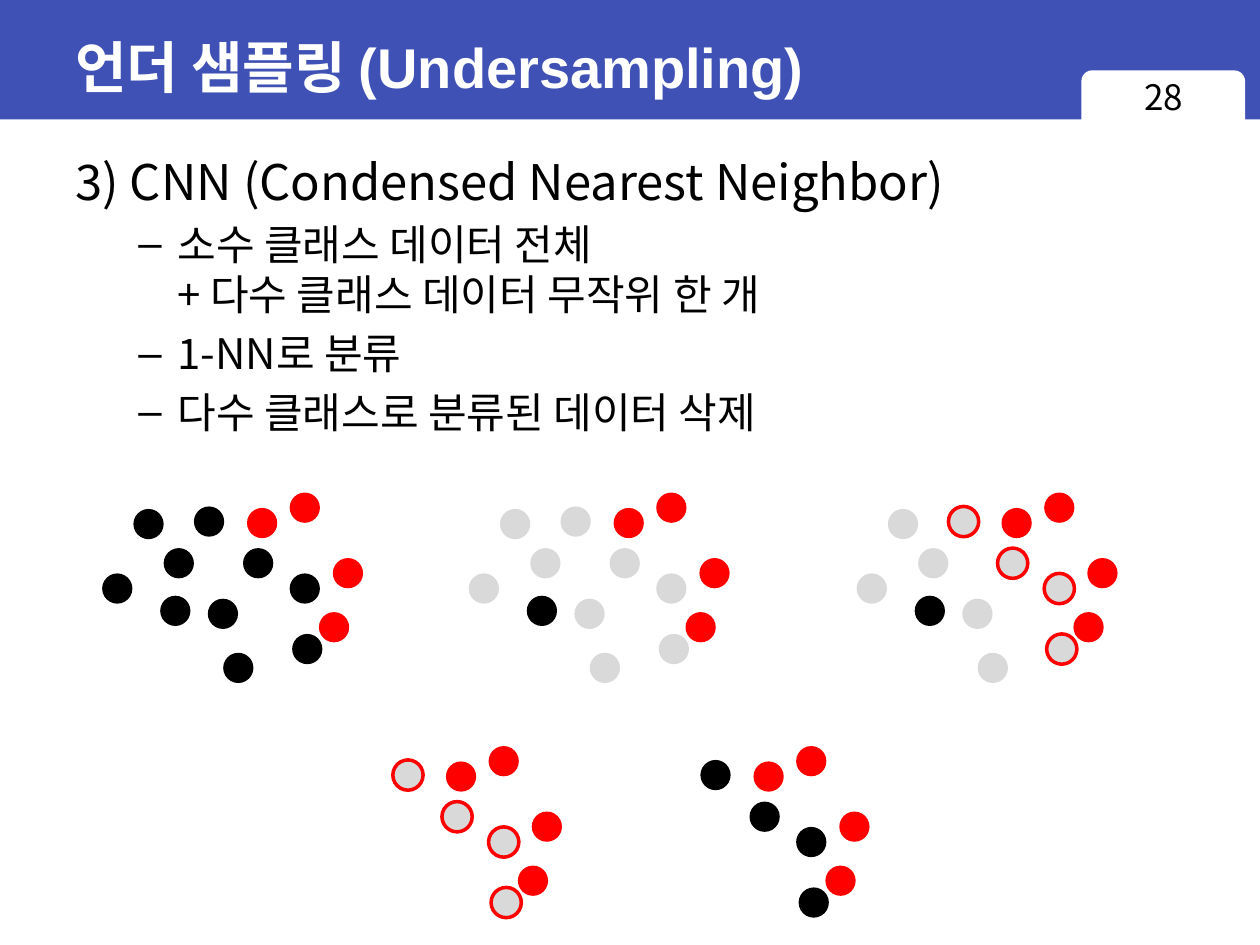
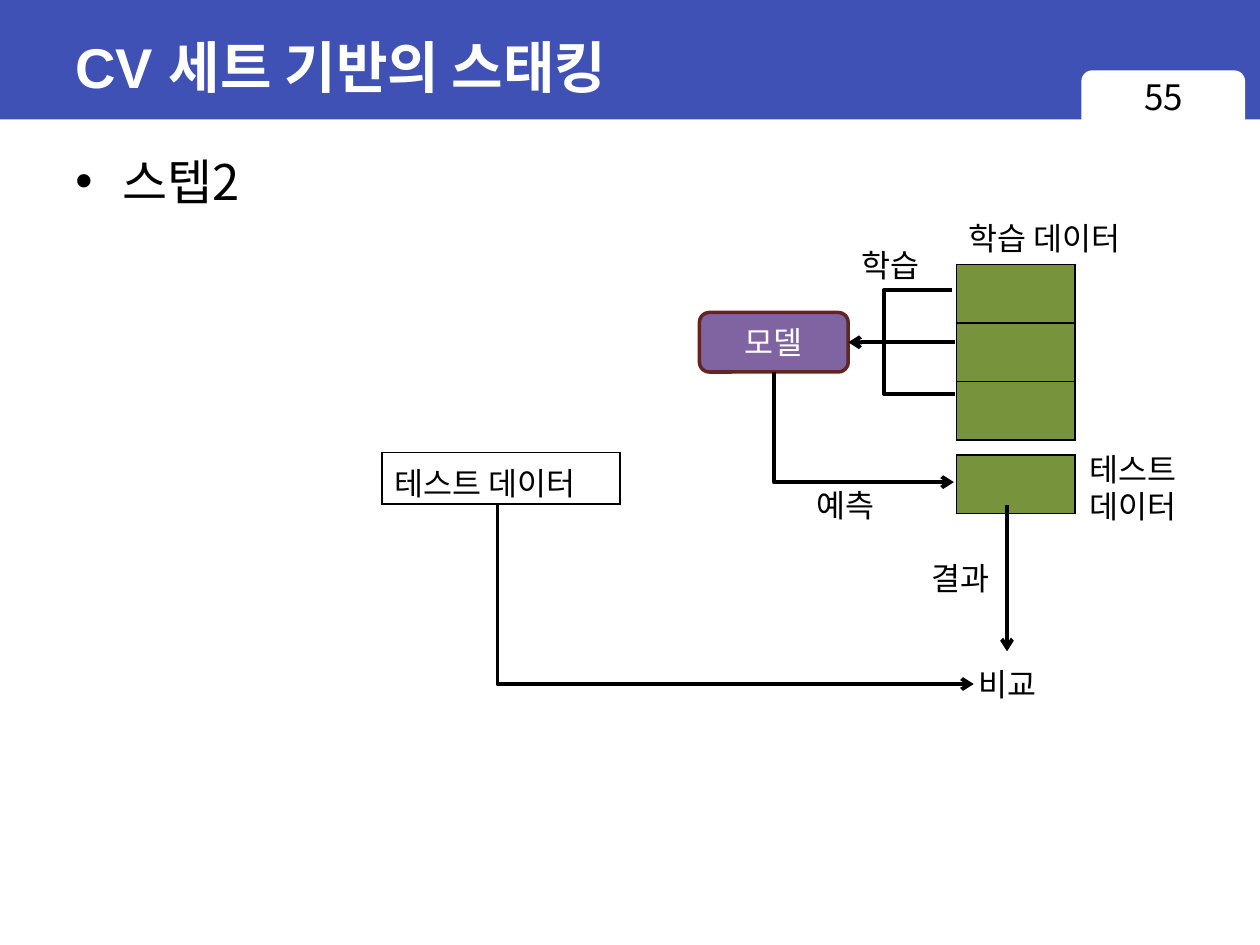
from lxml import etree
from pptx import Presentation
from pptx.dml.color import RGBColor
from pptx.enum import shapes, text
from pptx.oxml import ns
from pptx.util import Cm, Pt

COLORS = {
    "band": "3F51B5", "white": "FFFFFF", "black": "000000", "red": "FF0000",
    "gray": "D9D9D9", "green": "77933C", "purple": "8064A2", "maroon": "632523",
}
RGB = {name: RGBColor.from_string(value) for name, value in COLORS.items()}
BODY_FONT = "Noto Sans CJK KR"
SHAPE = shapes.MSO_SHAPE


def add_run(p, words, size, color="black", font=BODY_FONT, bold=False):
    r = p.add_run()
    r.text = words
    r.font.size, r.font.bold, r.font.name = Pt(size), bold, font
    r.font.color.rgb = RGB[color]
    ea = etree.SubElement(r.font._element, ns.qn("a:ea"))
    ea.set("typeface", BODY_FONT)


def set_line(sp, color, width, arrow=False):
    sp.line.color.rgb = RGB[color]
    sp.line.width = Pt(width)
    if arrow:
        tail = etree.SubElement(sp.line._get_or_add_ln(), ns.qn("a:tailEnd"))
        tail.set("type", "arrow")


prs = Presentation()
prs.slide_width, prs.slide_height = Cm(25.4), Cm(19.05)

# Text of both slides: title, page number, body lines as (level, bullet, lines)
PAGES = [
    ("언더 샘플링 (Undersampling)", "28", [
        (0, None, ["3) CNN (Condensed Nearest Neighbor)"]),
        (1, "–", ["소수 클래스 데이터 전체", "+ 다수 클래스 데이터 무작위 한 개"]),
        (1, "–", ["1-NN로 분류"]),
        (1, "–", ["다수 클래스로 분류된 데이터 삭제"])]),
    ("CV 세트 기반의 스태킹", "55", [(0, "•", ["스텝2"])]),
]
BODY_SIZES = [28, 24]
INDENTS = [(0.95, -0.95), (2.06, -0.79)]

for title, number, body in PAGES:
    s = prs.slides.add_slide(prs.slide_layouts[6])

    # Band and page tab
    for kind, box, color in [(SHAPE.RECTANGLE, (0, 0, 25.4, 2.41), "band"),
                             (SHAPE.ROUNDED_RECTANGLE, (21.8, 1.42, 3.3, 1.3), "white")]:
        sp = s.shapes.add_shape(kind, *map(Cm, box))
        sp.shadow.inherit = False
        sp.fill.solid()
        sp.fill.fore_color.rgb = RGB[color]
        sp.line.fill.background()

    # Title
    tf = s.shapes.add_textbox(Cm(1.27), Cm(0.28), Cm(22.86), Cm(2.11)).text_frame
    tf.word_wrap = True
    tf.vertical_anchor = text.MSO_ANCHOR.MIDDLE
    add_run(tf.paragraphs[0], title, 32, "white", "Arial", True)

    # Body
    tf = s.shapes.add_textbox(Cm(1.27), Cm(2.92), Cm(23.83), Cm(15.6)).text_frame
    tf.word_wrap = True
    for i, (level, bullet, lines) in enumerate(body):
        p = tf.add_paragraph() if i else tf.paragraphs[0]
        size = BODY_SIZES[level]
        p.level = level
        p.space_before = Pt(size * 0.2)
        if bullet:
            pPr = p._p.get_or_add_pPr()
            margin, indent = INDENTS[level]
            pPr.set("marL", str(Cm(margin)))
            pPr.set("indent", str(Cm(indent)))
            etree.SubElement(pPr, ns.qn("a:buFont")).set("typeface", "Arial")
            etree.SubElement(pPr, ns.qn("a:buChar")).set("char", bullet)
        for j, line in enumerate(lines):
            if j:
                p.add_line_break()
            add_run(p, line, size)

    # Page number
    tf = s.shapes.add_textbox(Cm(21.8), Cm(1.4), Cm(3.32), Cm(1.32)).text_frame
    tf.word_wrap = True
    p = tf.paragraphs[0]
    p.alignment = text.PP_ALIGN.CENTER
    add_run(p, number, 20)

sampling, stacking = prs.slides

# Undersampling steps: one scatter of points, restyled in each panel
DOT = Cm(0.61)
GROUPS = {
    "far": [(2.69, 10.26), (3.3, 11.05), (4.19, 12.07), (4.5, 13.16), (2.06, 11.56)],
    "near": [(3.91, 10.21), (4.9, 11.05), (5.89, 12.78), (5.84, 11.56)],
    "seed": [(3.23, 12.01)],
    "minority": [(4.98, 10.24), (6.71, 11.25), (5.84, 9.93), (6.43, 12.34)],
}
# Panels: offset, then fill and outline of each group shown
BLACK, GRAY, RED = ("black", None), ("gray", None), ("red", None)
RINGED = ("gray", "red")
PANELS = [
    (0, 0, {"far": BLACK, "near": BLACK, "seed": BLACK, "minority": RED}),
    (7.39, 0, {"far": GRAY, "near": GRAY, "seed": BLACK, "minority": RED}),
    (15.21, 0, {"far": GRAY, "near": RINGED, "seed": BLACK, "minority": RED}),
    (4.01, 5.11, {"near": RINGED, "minority": RED}),
    (10.21, 5.11, {"near": BLACK, "minority": RED}),
]
for dx, dy, styles in PANELS:
    for group, (fill, outline) in styles.items():
        for x, y in GROUPS[group]:
            sp = sampling.shapes.add_shape(SHAPE.OVAL, Cm(x + dx), Cm(y + dy), DOT, DOT)
            sp.shadow.inherit = False
            sp.fill.solid()
            sp.fill.fore_color.rgb = RGB[fill]
            if outline:
                set_line(sp, outline, 2)
            else:
                sp.line.fill.background()

# Model
model = stacking.shapes.add_shape(
    SHAPE.ROUNDED_RECTANGLE, Cm(14.1), Cm(6.3), Cm(3), Cm(1.2))
model.shadow.inherit = False
model.fill.solid()
model.fill.fore_color.rgb = RGB["purple"]
set_line(model, "maroon", 2)
model.text_frame.vertical_anchor = text.MSO_ANCHOR.MIDDLE
p = model.text_frame.paragraphs[0]
p.alignment = text.PP_ALIGN.CENTER
add_run(p, "모델", 18, "white")

# Data tables: left, top, width, row height, fill, cell texts
TABLES = [
    (19.28, 5.33, 2.39, 1.18, "green", ["", "", ""]),
    (19.28, 9.17, 2.39, 1.18, "green", [""]),
    (7.7, 9.12, 4.8, 1.04, None, ["테스트 데이터"]),
]
for x, y, width, row_height, fill, cells in TABLES:
    frame = stacking.shapes.add_table(
        len(cells), 1, Cm(x), Cm(y), Cm(width), Cm(row_height * len(cells)))
    table = frame.table
    table.first_row = table.horz_banding = False
    for row, words in enumerate(cells):
        table.rows[row].height = Cm(row_height)
        cell = table.cell(row, 0)
        cell.margin_bottom = 0
        if words:
            add_run(cell.text_frame.paragraphs[0], words, 18)
        tcPr = cell._tc.get_or_add_tcPr()
        for side in ("lnL", "lnR", "lnT", "lnB"):
            ln = etree.SubElement(tcPr, ns.qn("a:" + side), w=str(Pt(1)))
            solid = etree.SubElement(ln, ns.qn("a:solidFill"))
            etree.SubElement(solid, ns.qn("a:srgbClr"), val=COLORS["black"])
        if fill:
            cell.fill.solid()
            cell.fill.fore_color.rgb = RGB[fill]
        else:
            cell.fill.background()

# Bent lines: training bracket, prediction, comparison
BENDS = [
    ([(19.2, 5.84), (17.83, 5.84), (17.83, 7.95), (19.25, 7.95)], False),
    ([(15.6, 7.5), (15.6, 9.72), (19.23, 9.72)], True),
    ([(10.03, 10.16), (10.03, 13.79), (19.63, 13.79)], True),
]
for points, arrow in BENDS:
    start, *rest = [(Cm(x), Cm(y)) for x, y in points]
    builder = stacking.shapes.build_freeform(*start)
    builder.add_line_segments(rest, close=False)
    sp = builder.convert_to_shape()
    sp.shadow.inherit = False
    sp.fill.background()
    set_line(sp, "black", 2.25, arrow)

# Straight arrows: training data to model, test data to comparison
for x1, y1, x2, y2, target in [(19.25, 6.9, 17.1, 6.9, model),
                               (20.3, 10.19, 20.3, 13.13, None)]:
    sp = stacking.shapes.add_connector(
        shapes.MSO_CONNECTOR.STRAIGHT, Cm(x1), Cm(y1), Cm(x2), Cm(y2))
    if target is not None:
        sp.end_connect(target, 3)
    set_line(sp, "black", 2.25, True)
    etree.SubElement(sp._element.spPr, ns.qn("a:effectLst"))

# Labels
LABELS = [
    (19.28, 4.29, 3.94, ["학습 데이터"]),
    (21.72, 8.94, 2.44, ["테스트", "데이터"]),
    (17.12, 4.83, 1.8, ["학습"]),
    (16.21, 9.68, 1.8, ["예측"]),
    (18.52, 11.15, 1.8, ["결과"]),
    (19.48, 13.28, 1.8, ["비교"]),
]
for x, y, width, lines in LABELS:
    tf = stacking.shapes.add_textbox(
        Cm(x), Cm(y), Cm(width), Cm(0.23 + 0.79 * len(lines))).text_frame
    tf.word_wrap = False
    tf.auto_size = text.MSO_AUTO_SIZE.SHAPE_TO_FIT_TEXT
    for i, line in enumerate(lines):
        p = tf.add_paragraph() if i else tf.paragraphs[0]
        add_run(p, line, 18)

prs.save("out.pptx")
